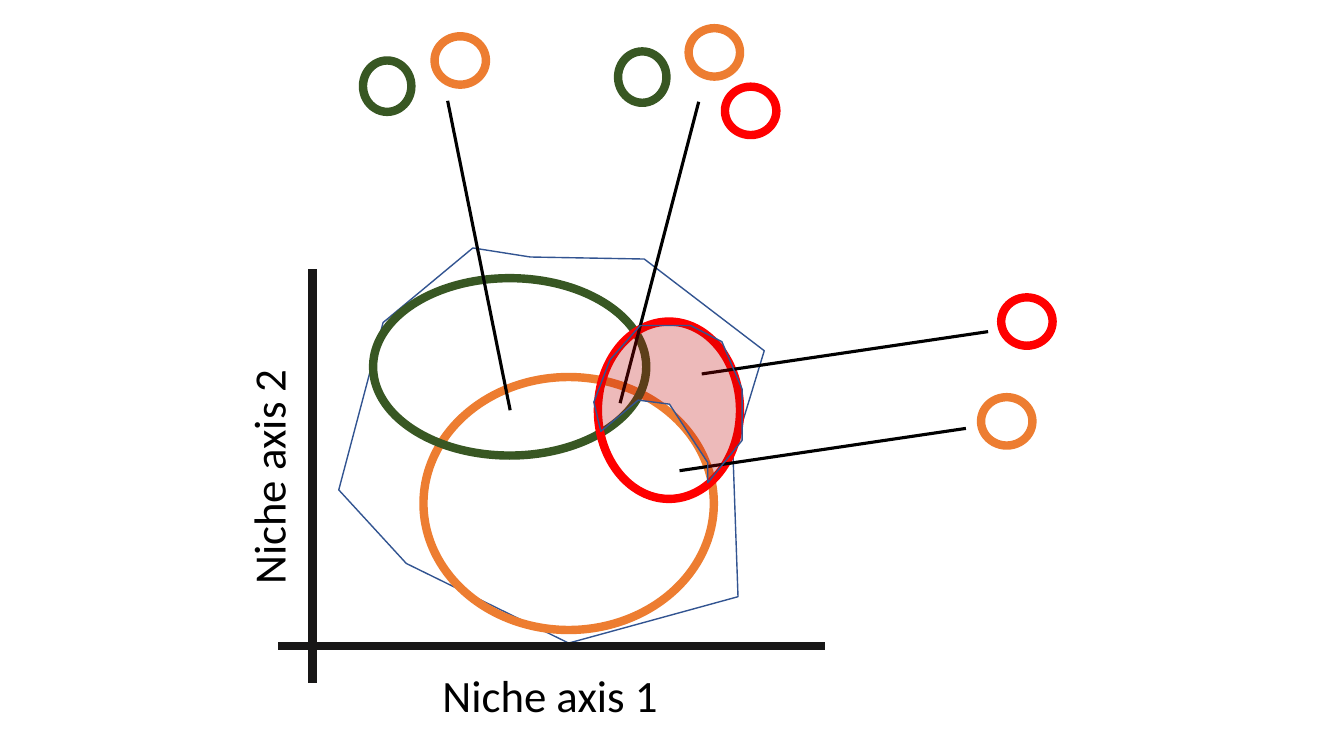
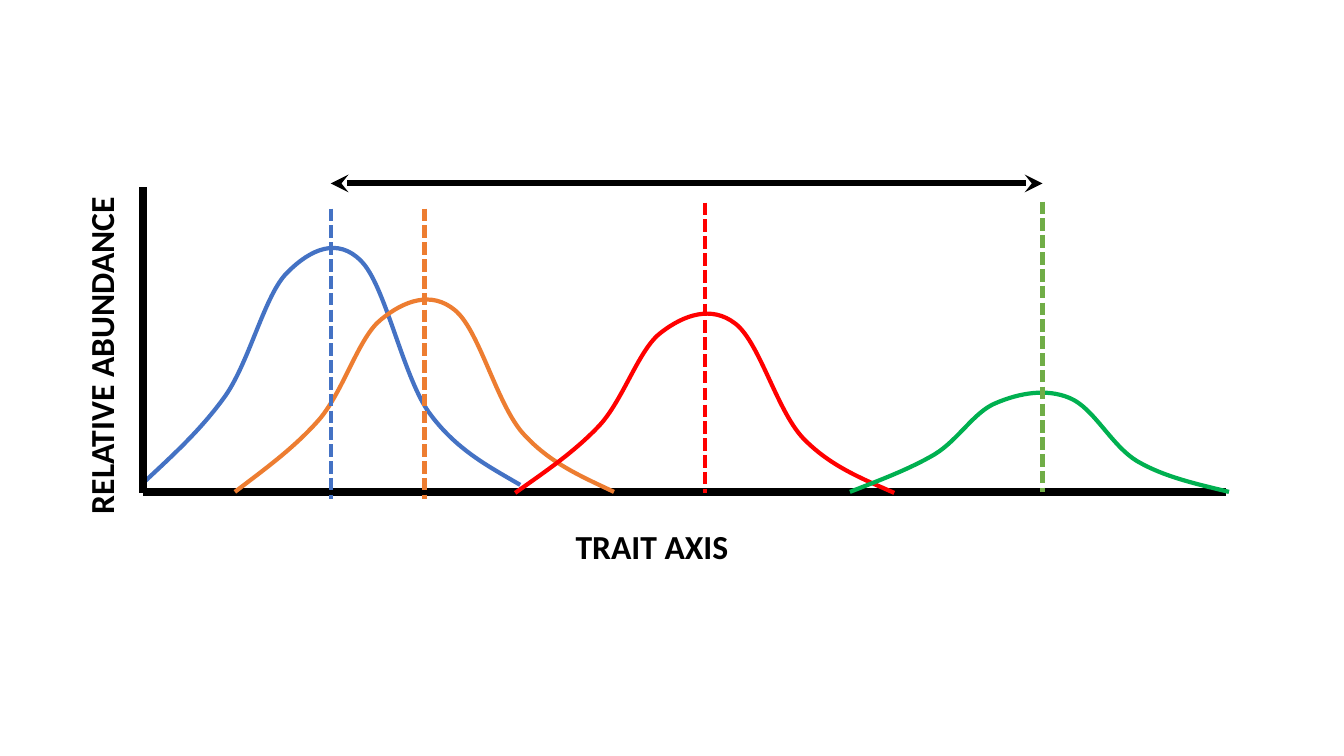
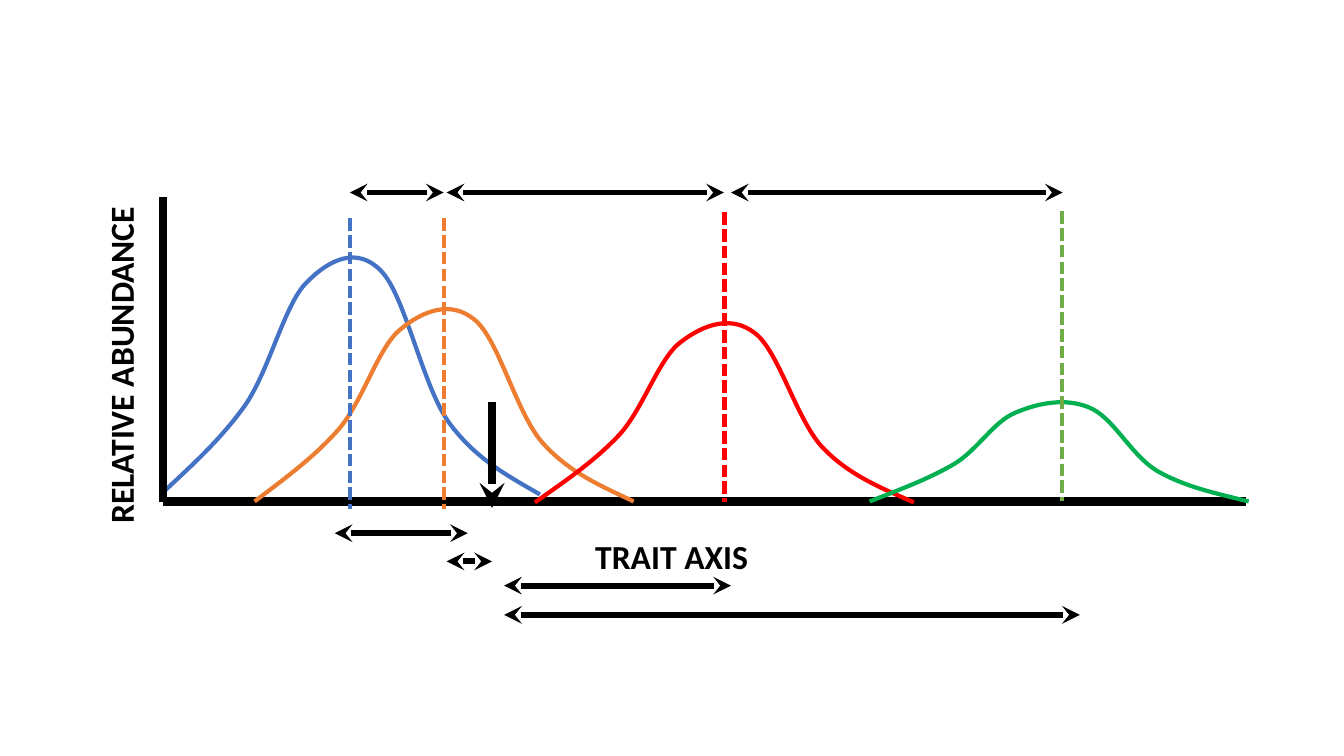
"""Builds three niche and trait-axis diagrams on a grid of tenths of an inch."""
from dataclasses import dataclass
from typing import Optional

from lxml.etree import SubElement
from pptx import Presentation
from pptx.dml.color import RGBColor
from pptx.enum.shapes import MSO_CONNECTOR, MSO_SHAPE
from pptx.enum.text import MSO_AUTO_SIZE
from pptx.oxml.ns import qn
from pptx.util import Inches, Pt

COLS, ROWS = 133.3, 75
BLACK = RGBColor(0x00, 0x00, 0x00)
INK = RGBColor(0x18, 0x17, 0x17)
NAVY = RGBColor(0x32, 0x54, 0x91)
BLUE = RGBColor(0x44, 0x72, 0xC4)
ORANGE = RGBColor(0xED, 0x7D, 0x31)
RED = RGBColor(0xFF, 0x00, 0x00)
CRIMSON = RGBColor(0xC0, 0x00, 0x00)
FOREST = RGBColor(0x38, 0x57, 0x23)
GREEN = RGBColor(0x00, 0xB0, 0x50)
LIME = RGBColor(0x70, 0xAD, 0x47)

NICHE_FONT = {"name": "Calibri", "size": Pt(32), "bold": False}
TRAIT_FONT = {"name": "Calibri", "size": Pt(24), "bold": True}

Point = tuple[float, float]


@dataclass(frozen=True)
class Ring:
    x: float
    y: float
    w: float
    h: float
    color: RGBColor


@dataclass(frozen=True)
class Line:
    start: Point
    end: Point
    color: RGBColor = BLACK
    width: float = 2.25
    dash: Optional[str] = None
    head: bool = False
    tail: bool = False


@dataclass(frozen=True)
class Label:
    text: str
    x: float
    y: float
    w: float
    h: float
    fmt: dict
    rotation: int = 0


@dataclass(frozen=True)
class Species:
    left: float
    top: float
    height: float
    mean: float
    mean_top: float
    color: RGBColor
    mean_color: RGBColor


BELL = [(0, 1), (3, 0.88), (5.9, 0.77), (8.4, 0.62),
        (10.8, 0.47), (12.3, 0.19), (14.5, 0.1),
        (16.8, 0), (19.5, -0.05), (21.8, 0.05),
        (24.2, 0.15), (25.9, 0.53), (28.5, 0.69),
        (31.2, 0.85), (34.4, 0.92), (37.6, 1)]

SPECIES = [
    Species(14, 24.7, 23.4, 32.8, 20.7, BLUE, BLUE),
    Species(23.3, 29.8, 19, 42.1, 20.7, ORANGE, ORANGE),
    Species(51.1, 31.2, 17.7, 69.9, 20.1, RED, RED),
    Species(84.3, 39, 9.8, 103.4, 20, GREEN, LIME),
]
MEAN_LENGTH = 28.8

COMMUNITY = [(46.9, 24.6), (38, 32), (33.6, 48.6), (40.3, 55.9), (56.4, 63.8),
             (73.2, 59.2), (72.7, 45), (75.8, 34.8), (63.9, 25.7), (52.6, 25.5)]
UNSHARED = [(59.6, 42.8), (63.3, 39.7), (66.4, 40.1), (70.2, 45.9),
            (70.2, 47.9), (73.6, 43.7), (73.6, 38.6), (71.6, 33.9),
            (68.5, 32.3), (63.5, 32.3), (60.5, 35.7), (58.9, 39.9)]

NICHES = [Ring(42, 37.4, 28.8, 25.1, ORANGE), Ring(37, 27.6, 27.1, 17.6, FOREST),
          Ring(59.3, 31.9, 14.1, 17.6, RED)]
WIDE, TALL = (5.1, 4.8), (4.8, 5.1)
KEYS = [Ring(97.3, 39.4, *WIDE, ORANGE), Ring(43.1, 3.6, *WIDE, ORANGE),
        Ring(71.9, 8.6, *WIDE, RED), Ring(36, 6, *TALL, FOREST),
        Ring(68.3, 2.8, *WIDE, ORANGE), Ring(61.3, 5.1, *TALL, FOREST),
        Ring(99.3, 29.5, *WIDE, RED)]
NICHE_AXES = [Line((31, 26.7), (31, 67.8), INK, 6), Line((81.8, 64.1), (27.6, 64.1), INK, 6)]
LEADERS = [Line((50.6, 40.7), (44.4, 10)), Line((61.5, 40), (69.3, 10.1)),
           Line((67.4, 46.7), (95.8, 42.5)), Line((69.6, 37.1), (98, 32.9))]


def cell(n: float) -> int:
    """Turn grid cells into a length."""
    return Inches(round(n / 10, 3))


def stroke(line, color: RGBColor, width: float) -> None:
    """Set the colour and width of a line."""
    line.color.rgb = color
    line.width = Pt(width)


def draw_line(slide, item: Line) -> None:
    """Draw a straight line with optional dashes and arrowheads."""
    ends = [cell(v) for v in (*item.start, *item.end)]
    sp = slide.shapes.add_connector(MSO_CONNECTOR.STRAIGHT, *ends)
    stroke(sp.line, item.color, item.width)
    ln = sp._element.spPr.find(qn("a:ln"))
    if item.dash:
        SubElement(ln, qn("a:prstDash"), val=item.dash)
    for tag, shown in (("a:headEnd", item.head), ("a:tailEnd", item.tail)):
        if shown:
            SubElement(ln, qn(tag), type="stealth")
    SubElement(sp._element.spPr, qn("a:effectLst"))


def draw_ring(slide, ring: Ring) -> None:
    """Draw an unfilled ellipse."""
    box = [cell(v) for v in (ring.x, ring.y, ring.w, ring.h)]
    sp = slide.shapes.add_shape(MSO_SHAPE.OVAL, *box)
    sp.shadow.inherit = False
    sp.fill.background()
    stroke(sp.line, ring.color, 6)


def draw_label(slide, label: Label) -> None:
    """Draw one line of text."""
    box = [cell(v) for v in (label.x, label.y, label.w, label.h)]
    sp = slide.shapes.add_textbox(*box)
    sp.rotation = label.rotation
    tf = sp.text_frame
    tf.word_wrap = False
    tf.auto_size = MSO_AUTO_SIZE.SHAPE_TO_FIT_TEXT
    r = tf.paragraphs[0].add_run()
    r.text = label.text
    for key, value in label.fmt.items():
        setattr(r.font, key, value)
    r.font.color.rgb = BLACK


def draw_outline(slide, points: list[Point], color: RGBColor, width: float, close: bool):
    """Draw an unfilled freeform through the points."""
    first, *rest = [(cell(x), cell(y)) for x, y in points]
    builder = slide.shapes.build_freeform(*first, scale=1.0)
    builder.add_line_segments(rest, close=close)
    sp = builder.convert_to_shape()
    sp.shadow.inherit = False
    sp.fill.background()
    stroke(sp.line, color, width)
    return sp


def draw_bell(slide, s: Species, dx: float, dy: float) -> None:
    """Draw an abundance curve, each three points making a Bezier segment."""
    points = [(s.left + dx + x, s.top + dy + y * s.height) for x, y in BELL]
    sp = draw_outline(slide, points, s.color, 3, False)
    legs = list(sp._element.iter(qn("a:lnTo")))
    for i in range(0, len(legs), 3):
        curve = SubElement(legs[i].getparent(), qn("a:cubicBezTo"))
        for leg in legs[i:i + 3]:
            curve.append(leg[0])
            leg.getparent().remove(leg)


def draw_span(slide, left: float, right: float, y: float) -> None:
    """Draw a horizontal arrow with two heads."""
    draw_line(slide, Line((left, y), (right, y), width=4.25, head=True, tail=True))


def draw_traits(slide, dx: float = 0, dy: float = 0) -> None:
    """Draw the axes, curves and means, moved by dx and dy."""
    x, y = 14.2 + dx, 48.8 + dy
    draw_line(slide, Line((x, y), (x + 107.4, y), width=6))
    draw_label(slide, Label("TRAIT AXIS", 56.1 + dx, 51.7 + dy, 17.3, 5, TRAIT_FONT))
    for s in SPECIES:
        draw_bell(slide, s, dx, dy)
    draw_label(slide, Label("RELATIVE ABUNDANCE", dx - 6.9, 32.6 + dy, 33.8, 5, TRAIT_FONT, 270))
    draw_line(slide, Line((x, y + 0.1), (x, y - 30.2), width=6))
    for s in SPECIES:
        top = (s.mean + dx, s.mean_top + dy)
        draw_line(slide, Line(top, (top[0], top[1] + MEAN_LENGTH), s.mean_color, 3, "sysDash"))


def niche_slide(slide) -> None:
    """Draw overlapping niches on two axes."""
    draw_outline(slide, COMMUNITY, NAVY, 1, True)
    draw_label(slide, Label("Niche axis 1", 42.9, 65.8, 23.6, 6.4, NICHE_FONT))
    draw_label(slide, Label("Niche axis 2", 14.8, 44, 23.6, 6.4, NICHE_FONT, 270))
    for axis in NICHE_AXES:
        draw_line(slide, axis)
    for ring in NICHES + KEYS:
        draw_ring(slide, ring)
    for leader in LEADERS:
        draw_line(slide, leader)
    sp = draw_outline(slide, UNSHARED, NAVY, 1, True)
    sp.fill.solid()
    sp.fill.fore_color.rgb = CRIMSON
    color = sp._element.spPr.find(qn("a:solidFill"))[0]
    SubElement(color, qn("a:alpha"), val="27000")


def range_slide(slide) -> None:
    """Draw the full range of trait means."""
    draw_traits(slide)
    draw_span(slide, SPECIES[0].mean, SPECIES[-1].mean, 18.2)


def distance_slide(slide) -> None:
    """Draw distances between neighbours and from the centroid."""
    draw_traits(slide, 1.95, 0.95)
    for left, right in ((34.7, 44), (44.3, 71.8), (72.5, 105.4)):
        draw_span(slide, left, right, 19.1)
    draw_line(slide, Line((48.8, 50.4), (48.8, 39.9), width=6, head=True))
    for left, right, y in ((33.2, 46.4, 52.9), (44.3, 48.8, 55.7),
                           (50, 72.5, 58.1), (50, 107.1, 61)):
        draw_span(slide, left, right, y)


def main() -> None:
    """Build and save the presentation."""
    prs = Presentation()
    prs.slide_width, prs.slide_height = cell(COLS), cell(ROWS)
    for draw in (niche_slide, range_slide, distance_slide):
        draw(prs.slides.add_slide(prs.slide_layouts[6]))
    prs.save("out.pptx")


if __name__ == "__main__":
    main()
